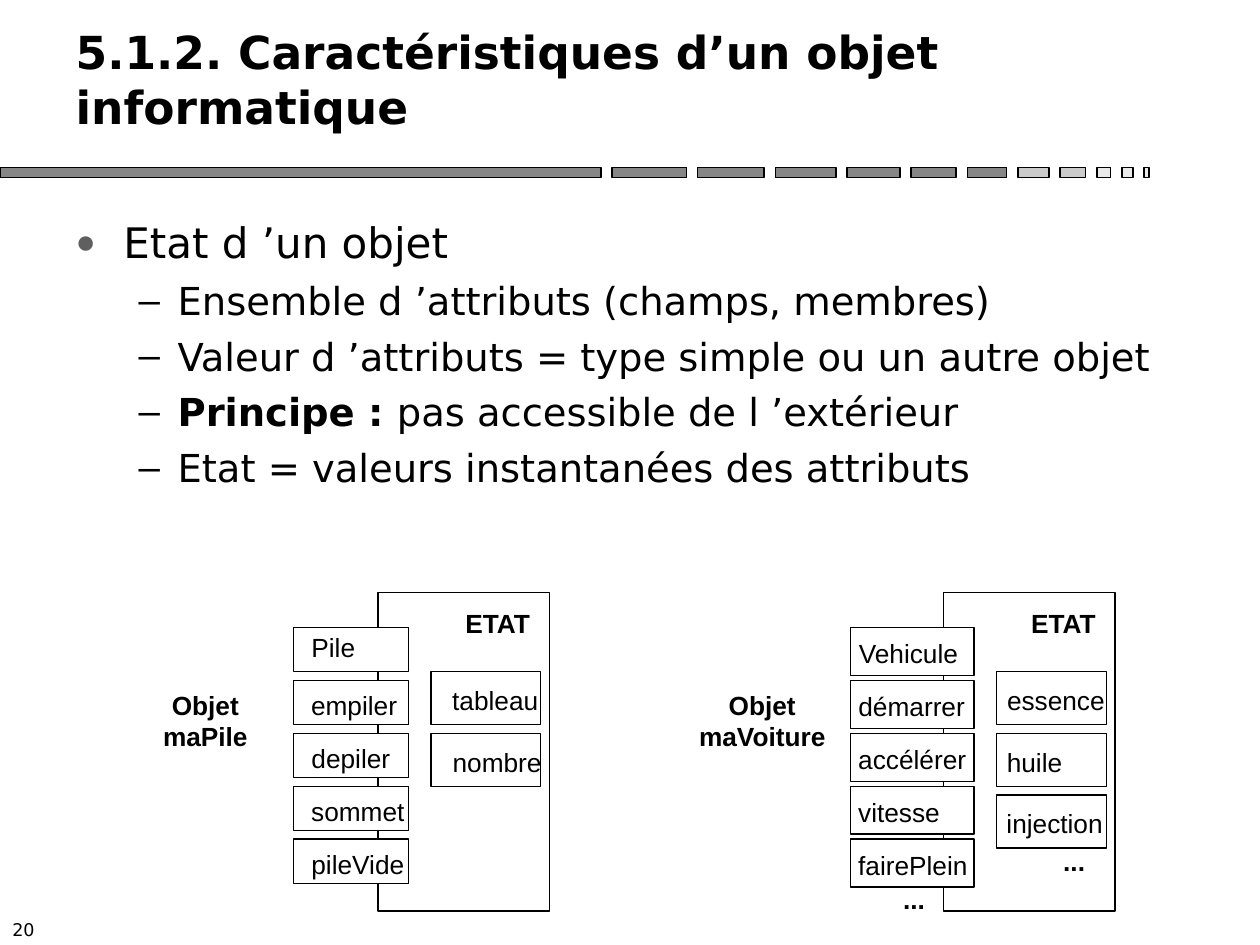
from lxml import etree
from pptx import Presentation
from pptx.dml.color import RGBColor
from pptx.enum.shapes import MSO_SHAPE
from pptx.enum.text import MSO_ANCHOR, MSO_AUTO_SIZE, PP_ALIGN
from pptx.oxml.ns import qn
from pptx.util import Inches, Pt

RECTANGLE = MSO_SHAPE.RECTANGLE
TOP, MIDDLE = MSO_ANCHOR.TOP, MSO_ANCHOR.MIDDLE
LEFT, CENTER = PP_ALIGN.LEFT, PP_ALIGN.CENTER
NO_AUTOFIT = MSO_AUTO_SIZE.NONE
GROW_TO_TEXT = MSO_AUTO_SIZE.SHAPE_TO_FIT_TEXT

BLACK = RGBColor(0x00, 0x00, 0x00)
WHITE = RGBColor(0xFF, 0xFF, 0xFF)
DARK_GREY = RGBColor(0x86, 0x86, 0x86)
MID_GREY = RGBColor(0xCB, 0xCB, 0xCB)
LIGHT_GREY = RGBColor(0xEA, 0xEA, 0xEA)
BULLET_GREY = RGBColor(0x5F, 0x5F, 0x5F)

HEADING_FONT = {"name": "DejaVu Sans", "size": Pt(26), "bold": True}
TOPIC_FONT = {"name": "DejaVu Sans", "size": Pt(24), "bold": False}
DETAIL_FONT = {"name": "DejaVu Sans", "size": Pt(22)}
NUMBER_FONT = {"name": "DejaVu Sans", "size": Pt(10)}
LABEL_FONT = {"name": "Arial", "size": Pt(15), "bold": False}
STRONG_LABEL_FONT = {**LABEL_FONT, "bold": True}

LABEL_HEIGHT = 0.25

DETAILS = [
    [("Ensemble d ’attributs (champs, membres)", False)],
    [("Valeur d ’attributs = type simple ou un autre objet", False)],
    [("Principe : ", True), ("pas accessible de l ’extérieur", False)],
    [("Etat = valeurs instantanées des attributs", False)],
]

# Each member is a name and the width of its label
STACK = {
    "name": "maPile", "name_center": -1.37,
    "methods": [("Pile", 0.35), ("empiler", 0.68), ("depiler", 0.63),
                ("sommet", 0.74), ("pileVide", 0.74)],
    "method_box": (-0.67, 0.28, 0.91, 0.35), "method_inset": (0.14, 0.07),
    "first_label_rise": 0.04,
    "attributes": [("tableau", 0.68), ("nombre", 0.71)],
    "attribute_inset": (0.17, 0.1),
    "ellipses": [],
}
CAR = {
    "name": "maVoiture", "name_center": -1.44,
    "methods": [("Vehicule", 0.8), ("démarrer", 0.85), ("accélérer", 0.86),
                ("vitesse", 0.65), ("fairePlein", 0.87)],
    "method_box": (-0.74, 0.28, 0.98, 0.38), "method_inset": (0.06, 0.08),
    "first_label_rise": 0,
    "attributes": [("essence", 0.78), ("huile", 0.44), ("injection", 0.76)],
    "attribute_inset": (0.08, 0.1),
    "ellipses": [(-0.32, 2.31), (0.95, 2.01)],
}


def apply_format(target, values):
    for attribute, value in values.items():
        setattr(target, attribute, value)


def set_font(font, values):
    apply_format(font, values)
    font.color.rgb = BLACK


def place(shape, box):
    lengths = [Inches(value) for value in box]
    apply_format(shape, dict(zip(("left", "top", "width", "height"), lengths)))


def add_box(slide, box, fill, line_width):
    rectangle = slide.shapes.add_shape(RECTANGLE, *map(Inches, box))
    rectangle.shadow.inherit = False
    rectangle.fill.solid()
    rectangle.fill.fore_color.rgb = fill
    rectangle.line.color.rgb = BLACK
    rectangle.line.width = line_width


def add_label(slide, box, text, font):
    # A little slack on both sides keeps the word on one line
    left, top, width, height = box
    slack = 0.02
    label_box = (left - slack, top, width + 2 * slack, height)
    frame = slide.shapes.add_textbox(*map(Inches, label_box)).text_frame
    apply_format(frame, {"word_wrap": False, "auto_size": GROW_TO_TEXT,
                         "margin_left": 0, "margin_right": 0,
                         "margin_top": 0, "margin_bottom": 0})
    paragraph = frame.paragraphs[0]
    paragraph.text = text
    paragraph.alignment = CENTER
    set_font(paragraph.font, font)


def set_bullet(paragraph, character, color, size, margin, indent):
    properties = paragraph._p.get_or_add_pPr()
    properties.set("marL", str(Inches(margin)))
    properties.set("indent", str(Inches(indent)))
    bullet_color = etree.SubElement(properties, qn("a:buClr"))
    etree.SubElement(bullet_color, qn("a:srgbClr"), val=str(color))
    etree.SubElement(properties, qn("a:buSzPct"), val=str(size * 1000))
    etree.SubElement(properties, qn("a:buFont"), typeface="Arial")
    etree.SubElement(properties, qn("a:buChar"), char=character)


def add_title(slide, box):
    title = slide.shapes.title
    place(title, box)
    frame = title.text_frame
    apply_format(frame, {"vertical_anchor": MIDDLE, "auto_size": NO_AUTOFIT,
                         "word_wrap": True})
    paragraph = frame.paragraphs[0]
    paragraph.text = "5.1.2. Caractéristiques d’un objet informatique"
    paragraph.alignment = LEFT
    set_font(paragraph.font, HEADING_FONT)


def add_divider(slide, box):
    left, top, width, height = box
    segments = [(4.77, DARK_GREY), (0.59, DARK_GREY), (0.53, DARK_GREY),
                (0.48, DARK_GREY), (0.42, DARK_GREY), (0.36, DARK_GREY),
                (0.31, DARK_GREY), (0.25, MID_GREY), (0.2, MID_GREY),
                (0.11, LIGHT_GREY), (0.09, LIGHT_GREY), (0.04, LIGHT_GREY)]
    gap = (width - sum(length for length, _ in segments)) / (len(segments) - 1)
    for length, shade in segments:
        add_box(slide, (left, top, length, height), shade, Pt(1))
        left += length + gap


def add_bullets(slide, box):
    body = slide.placeholders[1]
    place(body, box)
    frame = body.text_frame
    apply_format(frame, {"vertical_anchor": TOP, "auto_size": NO_AUTOFIT,
                         "word_wrap": True})

    topic = frame.paragraphs[0]
    topic.text = "Etat d ’un objet"
    topic.space_before = Pt(0)
    set_bullet(topic, "●", BULLET_GREY, 80, 0.38, -0.38)
    set_font(topic.font, TOPIC_FONT)

    for parts in DETAILS:
        detail = frame.add_paragraph()
        detail.level = 1
        detail.space_before = Pt(5.5)
        set_bullet(detail, "–", BLACK, 100, 0.81, -0.31)
        set_font(detail.font, DETAIL_FONT)
        for text, bold in parts:
            run = detail.add_run()
            run.text = text
            run.font.bold = bold


def add_members(slide, box, pitch, inset, members, first_rise=0):
    left, top, width, height = box
    for row, (name, label_width) in enumerate(members):
        y = top + row * pitch
        add_box(slide, (left, y, width, height), WHITE, Pt(0))
        rise = first_rise if row == 0 else 0
        label_box = (left + inset[0], y + inset[1] - rise, label_width, LABEL_HEIGHT)
        add_label(slide, label_box, name, LABEL_FONT)


def add_object_diagram(slide, box, content):
    left, top = box[:2]
    # State frame
    add_box(slide, box, WHITE, Pt(0))
    add_label(slide, (left + 0.68, top + 0.12, 0.54, LABEL_HEIGHT), "ETAT",
              STRONG_LABEL_FONT)

    # Methods across the edge, attributes inside
    x, y, method_width, method_height = content["method_box"]
    add_members(slide, (left + x, top + y, method_width, method_height), 0.42,
                content["method_inset"], content["methods"],
                content["first_label_rise"])
    add_members(slide, (left + 0.42, top + 0.63, 0.87, 0.42), 0.49,
                content["attribute_inset"], content["attributes"])

    # Object name and marks for further members
    name_width = 1.02
    name_left = left + content["name_center"] - name_width / 2
    for row, text in enumerate(("Objet", content["name"])):
        line_top = top + 0.77 + row * LABEL_HEIGHT
        add_label(slide, (name_left, line_top, name_width, LABEL_HEIGHT), text,
                  STRONG_LABEL_FONT)
    for x, y in content["ellipses"]:
        add_label(slide, (left + x, top + y, 0.17, LABEL_HEIGHT), "...",
                  STRONG_LABEL_FONT)


def add_page_number(slide, box):
    frame = slide.shapes.add_textbox(*map(Inches, box)).text_frame
    apply_format(frame, {"word_wrap": False, "vertical_anchor": MIDDLE})
    paragraph = frame.paragraphs[0]
    paragraph.text = "20"
    set_font(paragraph.font, NUMBER_FONT)


def main():
    presentation = Presentation()
    presentation.slide_width = Inches(10)
    presentation.slide_height = Inches(7.5)
    slide = presentation.slides.add_slide(presentation.slide_layouts[1])
    add_divider(slide, (0, 1.33, 9.12, 0.08))
    add_page_number(slide, (0, 7.25, 0.5, 0.25))
    add_title(slide, (0.5, 0.25, 9.25, 0.75))
    add_bullets(slide, (0.5, 1.67, 9.25, 5.67))
    add_object_diagram(slide, (3, 4.7, 1.36, 2.53), STACK)
    add_object_diagram(slide, (7.49, 4.7, 1.36, 2.53), CAR)
    presentation.save("out.pptx")


if __name__ == "__main__":
    main()
